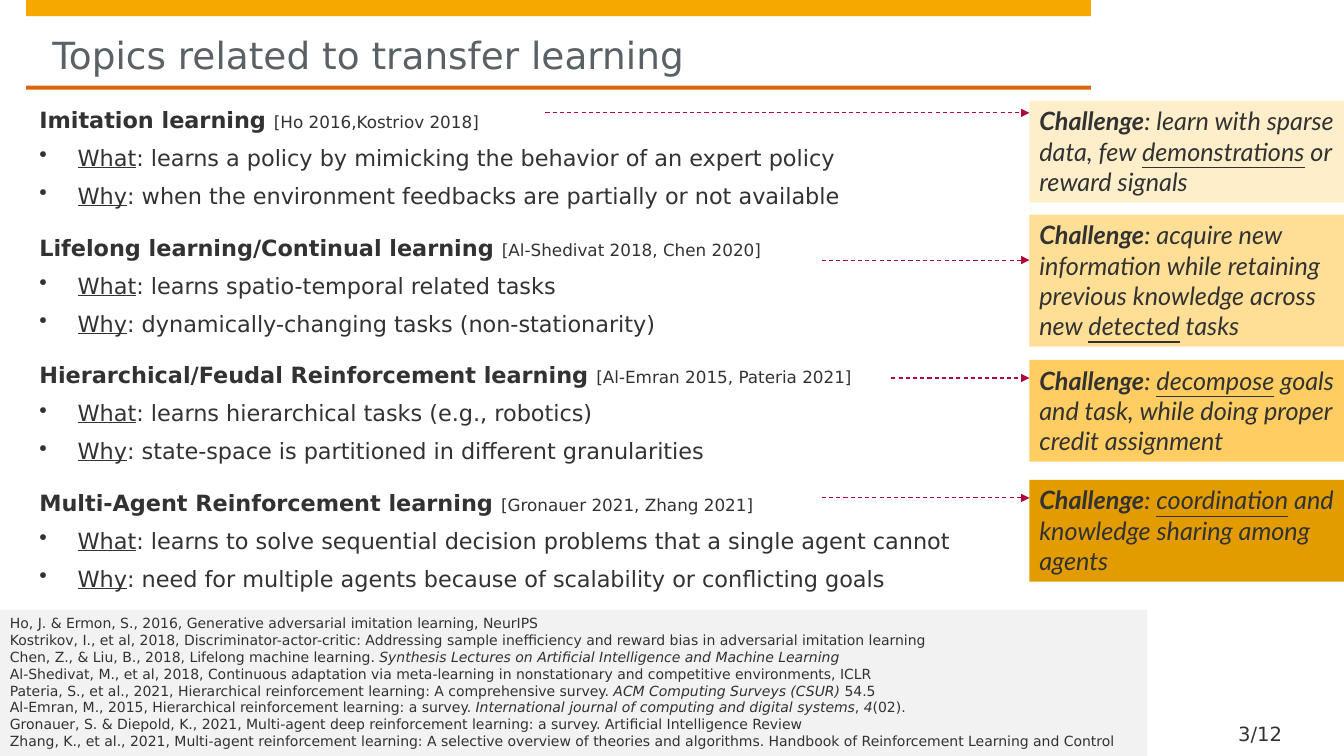
import pptx
import pptx.dml.color
import pptx.enum.dml
import pptx.enum.shapes
import pptx.enum.text
import pptx.oxml.ns
import pptx.util
from lxml import etree

Inches, Pt = pptx.util.Inches, pptx.util.Pt
RGBColor = pptx.dml.color.RGBColor
Anchor = pptx.enum.text.MSO_ANCHOR
qn = pptx.oxml.ns.qn

AMBER = RGBColor(0xF6, 0xA8, 0x00)
ORANGE = RGBColor(0xDD, 0x64, 0x0C)
TITLE_GREY = RGBColor(0x5A, 0x61, 0x66)
INK = RGBColor(0x32, 0x32, 0x32)
CRIMSON = RGBColor(0xB1, 0x06, 0x3A)
PALE_GREY = RGBColor(0xF2, 0xF2, 0xF2)
CARD_TINTS = [RGBColor(0xFF, 0xEE, 0xCA), RGBColor(0xFF, 0xDE, 0x95),
              RGBColor(0xFF, 0xCD, 0x61), RGBColor(0xE2, 0x9C, 0x00)]

CARD_LEFT, CARD_WIDTH = 10.21, 3.12
BULLET_INDENT = 0.38

# Topic, citation, what, why
TOPICS = [
    ("Imitation learning", "[Ho 2016,Kostriov 2018]",
     "learns a policy by mimicking the behavior of an expert policy",
     "when the environment feedbacks are partially or not available"),
    ("Lifelong learning/Continual learning", "[Al-Shedivat 2018, Chen 2020]",
     "learns spatio-temporal related tasks",
     "dynamically-changing tasks (non-stationarity)"),
    ("Hierarchical/Feudal Reinforcement learning", "[Al-Emran 2015, Pateria 2021]",
     "learns hierarchical tasks (e.g., robotics)",
     "state-space is partitioned in different granularities"),
    ("Multi-Agent Reinforcement learning", "[Gronauer 2021, Zhang 2021]",
     "learns to solve sequential decision problems that a single agent cannot",
     "need for multiple agents because of scalability or conflicting goals"),
]

# Card top, card height, arrow start, arrow height, text before / underlined / after
CHALLENGES = [
    (1.0, 1.01, 5.41, 1.12,
     ": learn with sparse data, few ", "demonstrations", " or reward signals"),
    (2.13, 1.31, 8.15, 2.58,
     ": acquire new information while retaining previous knowledge across new ",
     "detected", " tasks"),
    (3.57, 1.01, 8.84, 3.75,
     ": ", "decompose", " goals and task, while doing proper credit assignment"),
    (4.76, 1.01, 8.15, 4.94,
     ": ", "coordination", " and knowledge sharing among agents"),
]

# Each reference alternates upright and italic pieces
REFERENCES = [
    ["Ho, J. & Ermon, S., 2016, Generative adversarial imitation learning, NeurIPS"],
    ["Kostrikov, I., et al, 2018, Discriminator-actor-critic: Addressing sample "
     "inefficiency and reward bias in adversarial imitation learning"],
    ["Chen, Z., & Liu, B., 2018, Lifelong machine learning. ",
     "Synthesis Lectures on Artificial Intelligence and Machine Learning"],
    ["Al-Shedivat, M., et al, 2018, Continuous adaptation via meta-learning in "
     "nonstationary and competitive environments, ICLR"],
    ["Pateria, S., et al., 2021, Hierarchical reinforcement learning: A comprehensive survey. ",
     "ACM Computing Surveys (CSUR)", " 54.5"],
    ["Al-Emran, M., 2015, Hierarchical reinforcement learning: a survey. ",
     "International journal of computing and digital systems", ", ", "4", "(02)."],
    ["Gronauer, S. & Diepold, K., 2021, Multi-agent deep reinforcement learning: "
     "a survey. Artificial Intelligence Review"],
    ["Zhang, K., et al., 2021, Multi-agent reinforcement learning: A selective overview "
     "of theories and algorithms. Handbook of Reinforcement Learning and Control"],
]


class SlideBuilder:
    """Holds the text style and the slide being filled."""

    def __init__(self, page, font="DejaVu Sans", color=INK):
        self.page, self.font, self.color = page, font, color

    def span(self, para, text, size, marks="", font=None, color=None):
        """Add a run; marks may hold b, i and u."""
        span = para.add_run()
        span.text = text
        span.font.name = font or self.font
        span.font.size = Pt(size)
        span.font.color.rgb = color or self.color
        span.font.bold = "b" in marks
        span.font.italic = "i" in marks
        span.font.underline = "u" in marks

    def frame(self, box, insets=(0.1, 0.05, 0.1, 0.05), anchor=Anchor.TOP):
        frame = box.text_frame
        frame.word_wrap = True
        frame.auto_size = pptx.enum.text.MSO_AUTO_SIZE.NONE
        frame.vertical_anchor = anchor
        (frame.margin_left, frame.margin_top,
         frame.margin_right, frame.margin_bottom) = map(Inches, insets)
        return frame

    def para(self, frame, first=False):
        para = frame.paragraphs[0] if first else frame.add_paragraph()
        para.alignment = pptx.enum.text.PP_ALIGN.LEFT
        return para

    def title(self, text, left, top, width, height):
        box = self.page.shapes.title
        box.left, box.top, box.width, box.height = map(Inches, (left, top, width, height))
        frame = self.frame(box, (0, 0.16, 0, 0))
        self.span(self.para(frame, True), text, 26.7, color=TITLE_GREY)

    def text_box(self, left, top, width, height, **layout):
        box = self.page.shapes.add_textbox(*map(Inches, (left, top, width, height)))
        return self.frame(box, **layout)

    def panel(self, left, top, width, height, fill):
        box = self.page.shapes.add_shape(pptx.enum.shapes.MSO_SHAPE.RECTANGLE,
                                         *map(Inches, (left, top, width, height)))
        box.shadow.inherit = False
        box.fill.solid()
        box.fill.fore_color.rgb = fill
        box.line.fill.background()
        return self.frame(box)

    def bullet(self, para):
        props = para._p.get_or_add_pPr()
        props.set("marL", str(Inches(BULLET_INDENT)))
        props.set("indent", str(-Inches(BULLET_INDENT)))
        etree.SubElement(props, qn("a:buChar")).set("char", "•")

    def arrow(self, start, end, y):
        arrow = self.page.shapes.add_connector(pptx.enum.shapes.MSO_CONNECTOR.STRAIGHT,
                                               *map(Inches, (start, y, end, y)))
        arrow.line.color.rgb = CRIMSON
        arrow.line.width = Pt(0.75)
        arrow.line.dash_style = pptx.enum.dml.MSO_LINE.DASH
        etree.SubElement(arrow.line._get_or_add_ln(), qn("a:tailEnd")).set("type", "triangle")
        etree.SubElement(arrow._element.spPr, qn("a:effectLst"))


def main():
    deck = pptx.Presentation()
    deck.slide_width, deck.slide_height = Inches(13.33), Inches(7.5)
    builder = SlideBuilder(deck.slides.add_slide(deck.slide_layouts[5]))

    # Header bars, title and page number
    builder.panel(0.26, 0, 10.56, 0.16, AMBER)
    builder.panel(0.26, 0.85, 10.56, 0.04, ORANGE)
    builder.title("Topics related to transfer learning", 0.39, 0.16, 10.16, 0.61)
    builder.page.shapes.title.left = Inches(0.52)
    builder.page.shapes.title.width = Inches(10.03)
    number = builder.text_box(12.16, 7.12, 0.91, 0.28,
                              insets=(0.12, 0, 0, 0), anchor=Anchor.BOTTOM)
    builder.span(builder.para(number, True), "3/12", 14)

    # Topics
    body = builder.text_box(0.39, 0.92, 12.55, 5, insets=(0, 0, 0, 0))
    for index, (topic, citation, what, why) in enumerate(TOPICS):
        heading = builder.para(body, index == 0)
        heading.line_spacing = 1.5
        builder.span(heading, topic + " ", 16, "b")
        builder.span(heading, citation, 12)
        for label, answer in (("What", what), ("Why", why)):
            point = builder.para(body)
            builder.span(point, label, 16, "u")
            builder.span(point, ": " + answer, 16)
            builder.bullet(point)
    for para in body.paragraphs:
        para.space_before = para.space_after = Pt(4)

    # Challenge cards and their arrows
    for tint, (top, height, start, y, before, key, after) in zip(CARD_TINTS, CHALLENGES):
        card = builder.para(builder.panel(CARD_LEFT, top, CARD_WIDTH, height, tint), True)
        for text, marks in (("Challenge", "bi"), (before, "i"), (key, "iu"), (after, "i")):
            builder.span(card, text, 18, marks, font="Lato")
        builder.arrow(start, CARD_LEFT, y)

    # References
    sources = builder.panel(0, 6.05, 11.38, 1.45, PALE_GREY)
    for index, pieces in enumerate(REFERENCES):
        entry = builder.para(sources, index == 0)
        for order, piece in enumerate(pieces):
            builder.span(entry, piece, 10, "i" if order % 2 else "")

    deck.save("out.pptx")


if __name__ == "__main__":
    main()
